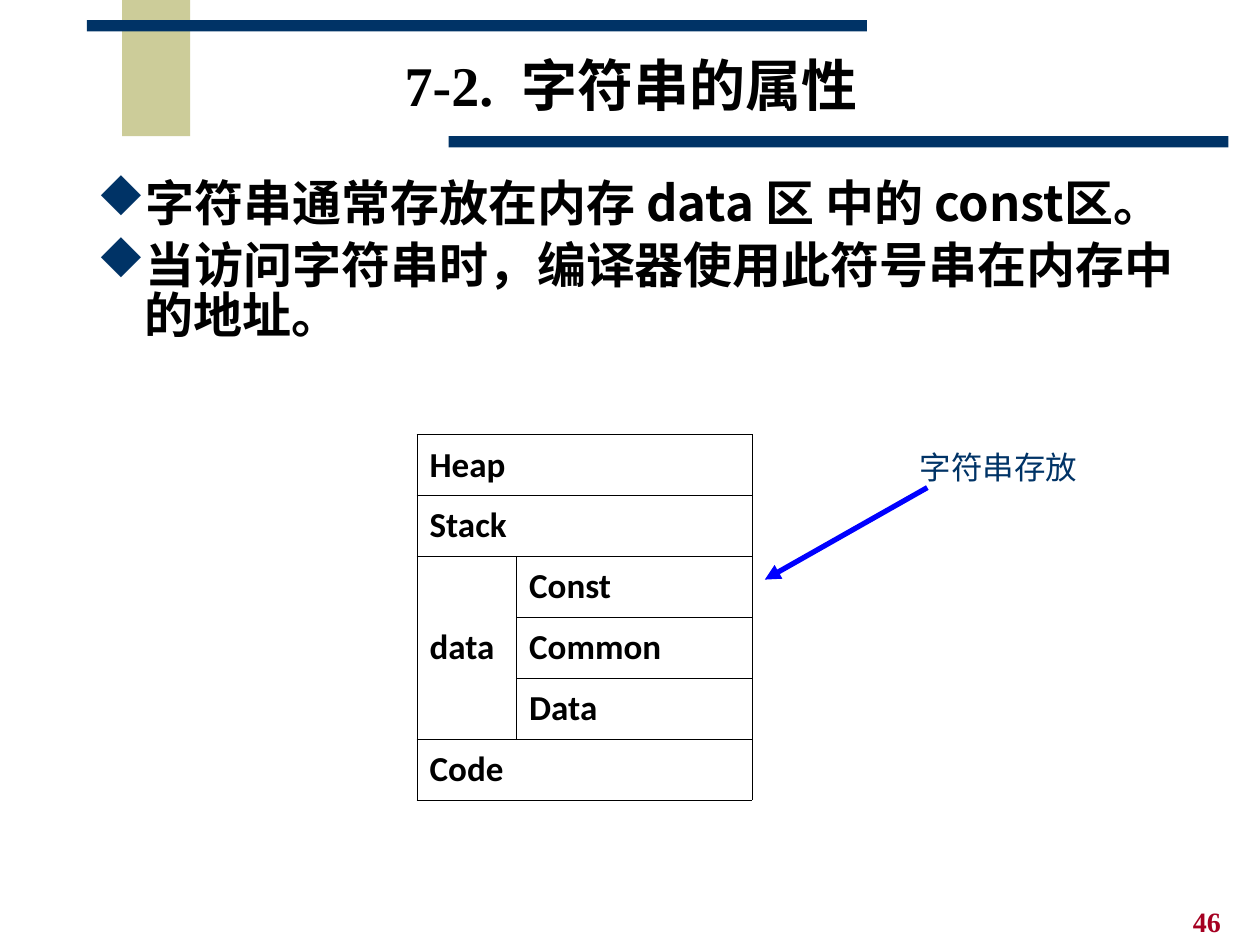
"""Build a slide on where strings are stored in memory."""
from lxml.etree import SubElement
from pptx import Presentation
from pptx.dml.color import RGBColor
from pptx.enum.shapes import MSO_CONNECTOR, MSO_SHAPE
from pptx.enum.text import MSO_ANCHOR, PP_ALIGN
from pptx.oxml.ns import qn
from pptx.util import Inches, Pt

COLORS = {"navy": "003366", "sand": "CCCC99", "red": "A50021",
          "black": "000000", "blue": "0000FF"}
CJK = "Noto Sans CJK SC"


def write(tf, *lines, size=20, font="Calibri", color="black", bold=True,
          align=PP_ALIGN.LEFT, spacing=None, before=0, bullet=None):
    for i, line in enumerate(lines):
        p = tf.paragraphs[0] if i == 0 else tf.add_paragraph()
        p.alignment = align
        if spacing:
            p.line_spacing = spacing
        if i:
            p.space_before = Pt(before)
        if bullet:
            pPr = p._p.get_or_add_pPr()
            pPr.set("marL", str(Inches(0.38)))
            pPr.set("indent", str(Inches(-0.38)))
            clr = SubElement(pPr, qn("a:buClr"))
            SubElement(clr, qn("a:srgbClr"), val=COLORS["navy"])
            SubElement(pPr, qn("a:buFont"), typeface="Wingdings",
                       pitchFamily="2", charset="2")
            SubElement(pPr, qn("a:buChar"), char=bullet)
        r = p.add_run()
        r.text = line
        r.font.size = Pt(size)
        r.font.bold = bold
        r.font.name = font
        r.font.color.rgb = RGBColor.from_string(COLORS[color])
        SubElement(r._r.get_or_add_rPr(), qn("a:ea"), typeface=CJK)


def add_text(box, *lines, wrap=True, anchor=MSO_ANCHOR.TOP, **style):
    tf = slide.shapes.add_textbox(*map(Inches, box)).text_frame
    tf.word_wrap = wrap
    tf.vertical_anchor = anchor
    write(tf, *lines, **style)


prs = Presentation()
prs.slide_width, prs.slide_height = Inches(10), Inches(7.5)
slide = prs.slides.add_slide(prs.slide_layouts[6])

for box, color in [((0.97, 0, 0.54, 1.08), "sand"),
                   ((0.69, 0.16, 6.19, 0.09), "navy"),
                   ((3.56, 1.08, 6.19, 0.09), "navy")]:
    sp = slide.shapes.add_shape(MSO_SHAPE.RECTANGLE, *map(Inches, box))
    sp.shadow.inherit = False
    sp.fill.solid()
    sp.fill.fore_color.rgb = RGBColor.from_string(COLORS[color])
    sp.line.fill.background()

add_text((9.37, 7.13, 0.63, 0.37), "46", size=16,
         font="Times New Roman", color="red")
add_text((2.14, 0.39, 5.74, 0.64), "7-2.  字符串的属性", size=32,
         font="Times New Roman", anchor=MSO_ANCHOR.MIDDLE,
         align=PP_ALIGN.CENTER, spacing=0.85)
add_text((0.67, 1.39, 9.05, 1.33),
         "字符串通常存放在内存 data 区 中的 const区。",
         "当访问字符串时，编译器使用此符号串在内存中的地址。",
         size=28, font=CJK, spacing=0.85, before=7, bullet="u")

rows = [("Heap", ""), ("Stack", ""), ("data", "Const"),
        ("", "Common"), ("", "Data"), ("Code", "")]
frame = slide.shapes.add_table(len(rows), 2, Inches(3.31), Inches(3.45),
                               Inches(2.66), Inches(2.9))
table = frame.table
table.first_row = table.horz_banding = False
for col, width in zip(table.columns, (0.79, 1.87)):
    col.width = Inches(width)
for r, row in enumerate(rows):
    table.rows[r].height = Inches(2.9 / len(rows))
    for c, text in enumerate(row):
        cell = table.cell(r, c)
        cell.vertical_anchor = MSO_ANCHOR.MIDDLE
        tcPr = cell._tc.get_or_add_tcPr()
        for side in ("lnL", "lnR", "lnT", "lnB"):
            ln = SubElement(tcPr, qn(f"a:{side}"), w=str(Pt(0.45)))
            fill = SubElement(ln, qn("a:solidFill"))
            SubElement(fill, qn("a:srgbClr"), val=COLORS["black"])
        cell.fill.background()
        if text:
            write(cell.text_frame, text)
for r in (0, 1, 5):
    table.cell(r, 0).merge(table.cell(r, 1))
table.cell(2, 0).merge(table.cell(4, 0))

add_text((7.2, 3.51, 1.45, 0.4), "字符串存放", size=18, font="Arial",
         color="navy", bold=False, wrap=False)
arrow = slide.shapes.add_connector(MSO_CONNECTOR.STRAIGHT, Inches(7.36),
                                   Inches(3.87), Inches(6.07), Inches(4.6))
arrow.line.color.rgb = RGBColor.from_string(COLORS["blue"])
arrow.line.width = Pt(3)
SubElement(arrow.line._get_or_add_ln(), qn("a:tailEnd"), type="triangle")
SubElement(arrow._element.spPr, qn("a:effectLst"))

prs.save("out.pptx")
